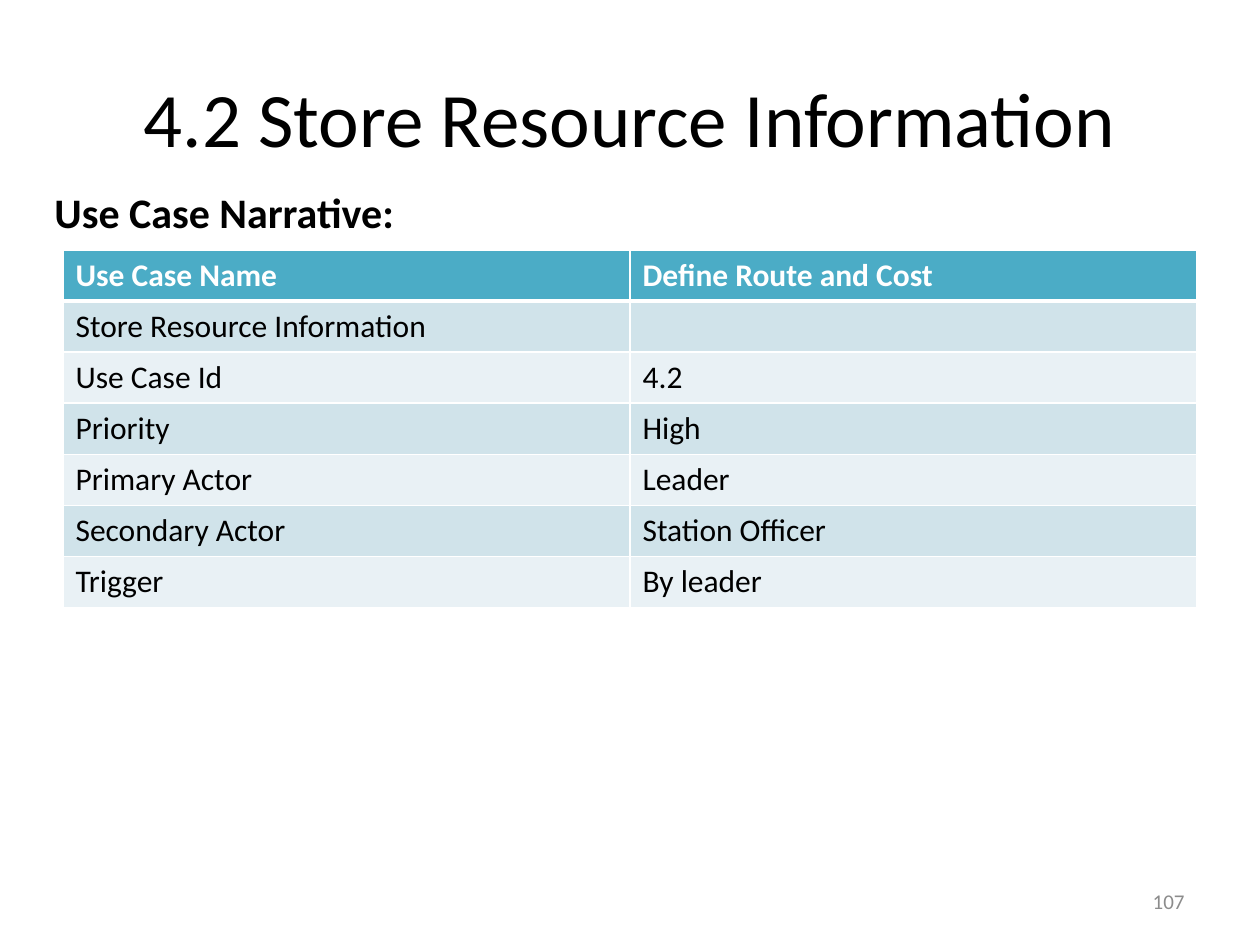
"""Build the use case narrative slide for storing resource information."""
import pptx
import pptx.dml.color
import pptx.enum.text
import pptx.oxml
import pptx.oxml.ns
import pptx.util

Pt = pptx.util.Pt
RGBColor = pptx.dml.color.RGBColor
ALIGN = pptx.enum.text.PP_ALIGN
ANCHOR = pptx.enum.text.MSO_ANCHOR

BLACK = RGBColor(0x00, 0x00, 0x00)
WHITE = RGBColor(0xFF, 0xFF, 0xFF)
GRAY = RGBColor(0x8C, 0x8C, 0x8C)
TEAL = RGBColor(0x4B, 0xAC, 0xC6)
BAND_DARK = RGBColor(0xD0, 0xE3, 0xEA)
BAND_LIGHT = RGBColor(0xE9, 0xF1, 0xF5)

NARRATIVE = [
    ("Use Case Name", "Define Route and Cost"),
    ("Store Resource Information", ""),
    ("Use Case Id", "4.2"),
    ("Priority", "High"),
    ("Primary Actor", "Leader"),
    ("Secondary Actor", "Station Officer"),
    ("Trigger", "By leader"),
]


class SlideBuilder:
    """Hold the text style and the current slide."""

    font_name = "Calibri"

    def __init__(self, slide):
        self.slide = slide

    def fill_text(self, frame, text, color, align=ALIGN.LEFT, **formats):
        frame.text = text
        paragraph = frame.paragraphs[0]
        paragraph.alignment = align
        for font in [paragraph.font] + [run.font for run in paragraph.runs]:
            for key, value in {"name": self.font_name, **formats}.items():
                setattr(font, key, value)
            font.color.rgb = color

    def title(self, text, left, top, width, height):
        heading = self.slide.shapes.title
        bounds = {"left": left, "top": top, "width": width, "height": height}
        for key, value in bounds.items():
            setattr(heading, key, Pt(value))
        heading.text_frame.vertical_anchor = ANCHOR.MIDDLE
        self.fill_text(heading.text_frame, text, BLACK, ALIGN.CENTER, size=Pt(44))

    def label(self, text, left, top, width, height, color, anchor=ANCHOR.TOP, **formats):
        box = self.slide.shapes.add_textbox(Pt(left), Pt(top), Pt(width), Pt(height))
        box.text_frame.word_wrap = True
        box.text_frame.vertical_anchor = anchor
        self.fill_text(box.text_frame, text, color, **formats)

    def borders(self, cell, **widths):
        properties = cell._tc.get_or_add_tcPr()
        for side, width in widths.items():
            properties.append(pptx.oxml.parse_xml(
                f'<a:ln{side} {pptx.oxml.ns.nsdecls("a")} w="{Pt(width)}">'
                f'<a:solidFill><a:srgbClr val="{WHITE}"/></a:solidFill></a:ln{side}>'))

    def table(self, rows, left, top, width, row_height):
        frame = self.slide.shapes.add_table(
            len(rows), len(rows[0]), Pt(left), Pt(top), Pt(width),
            Pt(row_height * len(rows)))
        for row_index, texts in enumerate(rows):
            is_header = row_index == 0
            band = BAND_DARK if row_index % 2 else BAND_LIGHT
            for column_index, text in enumerate(texts):
                cell = frame.table.cell(row_index, column_index)
                self.borders(cell, L=1, R=1, T=3 if row_index == 1 else 1,
                             B=3 if is_header else 1)
                cell.fill.solid()
                cell.fill.fore_color.rgb = TEAL if is_header else band
                self.fill_text(cell.text_frame, text, WHITE if is_header else BLACK,
                               size=Pt(18), bold=is_header)


def main():
    deck = pptx.Presentation()
    deck.slide_width, deck.slide_height = Pt(720), Pt(540)
    builder = SlideBuilder(deck.slides.add_slide(deck.slide_layouts[5]))
    builder.title("4.2 Store Resource Information", 36, 21.6, 648, 90)
    builder.table(NARRATIVE, 36, 142.8, 648, 29.2)
    builder.label("107", 516, 500.5, 168, 28.75, GRAY, ANCHOR.MIDDLE,
                  align=ALIGN.RIGHT, size=Pt(12))
    builder.label("Use Case Narrative:", 24, 103, 378, 36, BLACK,
                  size=Pt(24), bold=True)
    deck.save("out.pptx")


if __name__ == "__main__":
    main()
